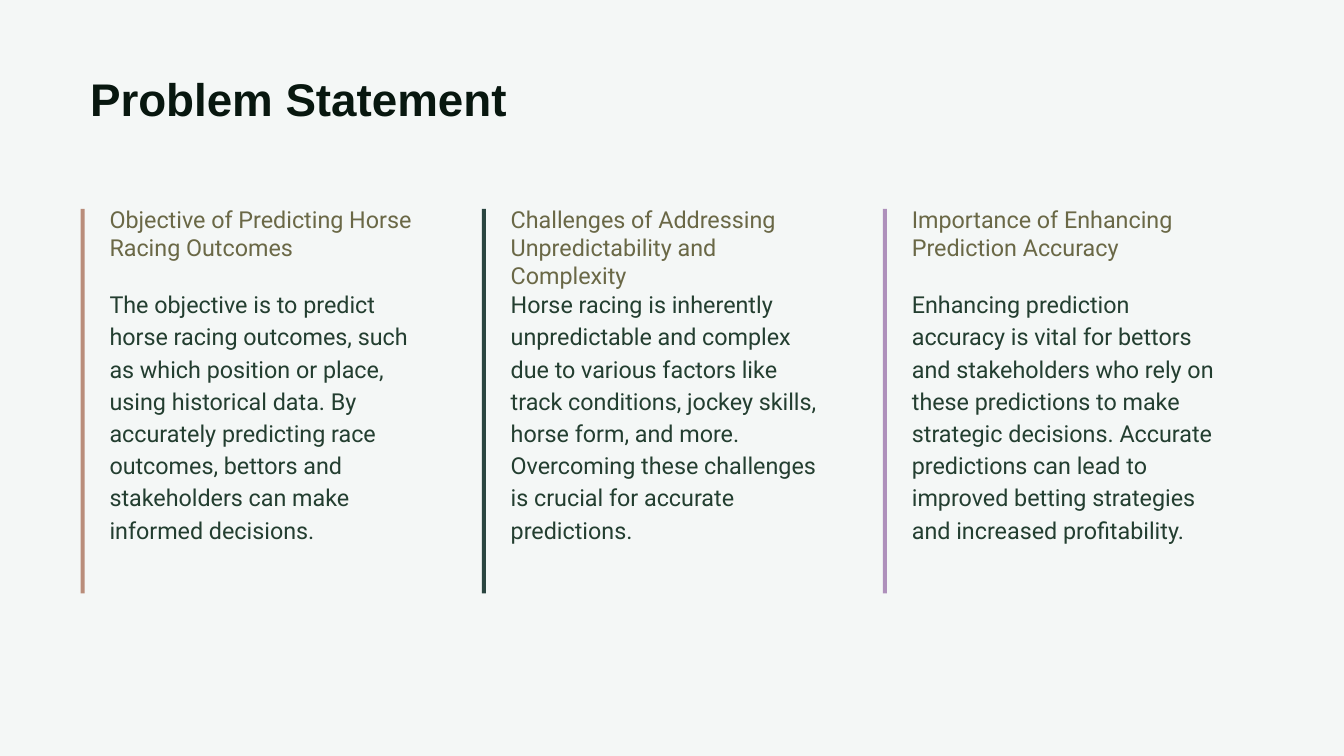
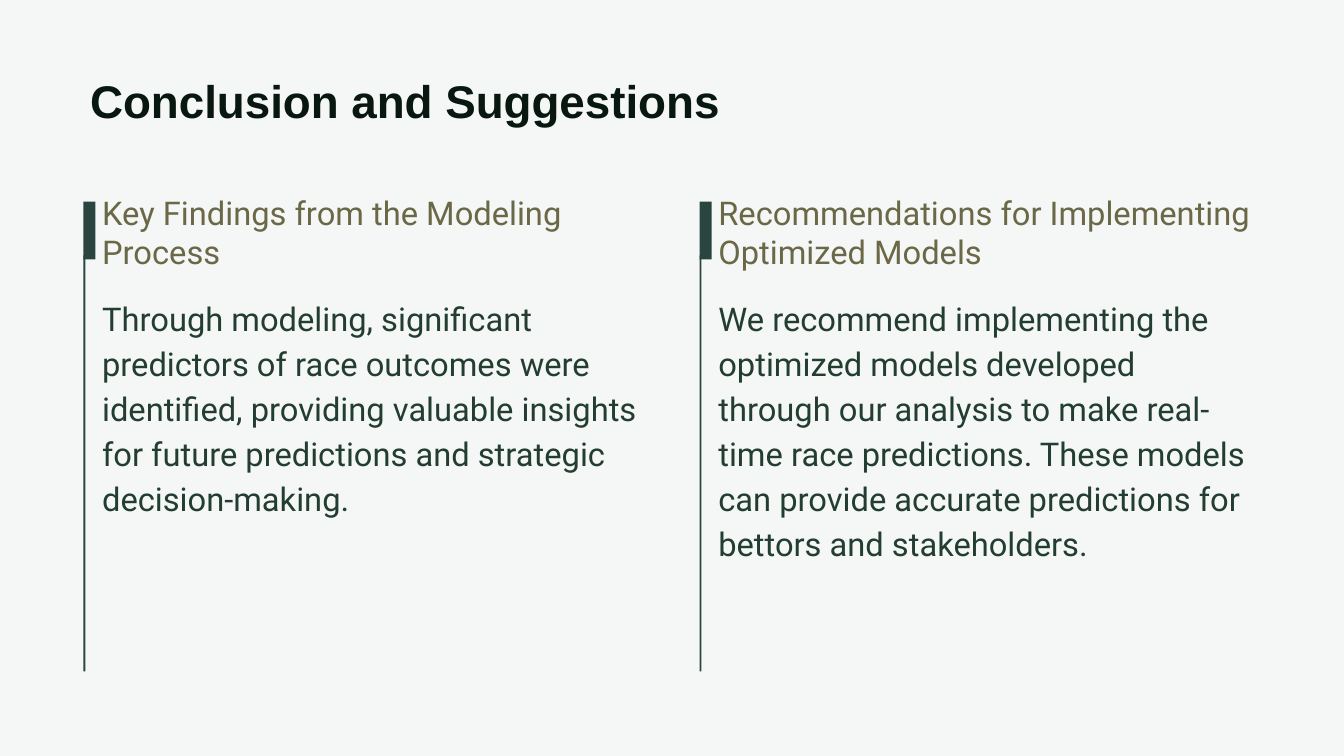
from pptx import Presentation, util as u
from pptx.dml.color import RGBColor
from pptx.enum import shapes, text

WIDE, HIGH = 20, 11.25
PAPER, INK, OLIVE, MOSS, PINE = "F4F7F6", "08170F", "6A6846", "233E30", "2A4540"
CLAY, LILAC = "B98D7A", "AE90BB"
LEFT = 1.34

GOALS = [
    (CLAY, "Objective of Predicting Horse Racing Outcomes",
     "The objective is to predict horse racing outcomes, such as which position or place, "
     "using historical data. By accurately predicting race outcomes, bettors and "
     "stakeholders can make informed decisions."),
    (PINE, "Challenges of Addressing Unpredictability and Complexity",
     "Horse racing is inherently unpredictable and complex due to various factors like "
     "track conditions, jockey skills, horse form, and more. Overcoming these challenges "
     "is crucial for accurate predictions."),
    (LILAC, "Importance of Enhancing Prediction Accuracy",
     "Enhancing prediction accuracy is vital for bettors and stakeholders who rely on these "
     "predictions to make strategic decisions. Accurate predictions can lead to improved "
     "betting strategies and increased profitability."),
]
RESULTS = [
    ("Key Findings from the Modeling Process",
     "Through modeling, significant predictors of race outcomes were identified, providing "
     "valuable insights for future predictions and strategic decision-making."),
    ("Recommendations for Implementing Optimized Models",
     "We recommend implementing the optimized models developed through our analysis to make "
     "real-time race predictions. These models can provide accurate predictions for bettors "
     "and stakeholders."),
]


def paint(fill, color):
    fill.solid()
    fill.fore_color.rgb = RGBColor.from_string(color)


def inches(*sizes):
    return [u.Inches(size) for size in sizes]


def write(slide, words, x, y, w, h, size, color, font="Roboto", bold=False, lead=1.2):
    """Add a text box; lead is the line pitch as a multiple of the font size."""
    frame = slide.shapes.add_textbox(*inches(x, y, w, h)).text_frame
    frame.word_wrap = True
    frame.auto_size = text.MSO_AUTO_SIZE.NONE
    frame.margin_left = frame.margin_right = frame.margin_top = frame.margin_bottom = 0
    para = frame.paragraphs[0]
    para.line_spacing = u.Pt(size * lead)
    run = para.add_run()
    run.text = words
    run.font.name, run.font.size, run.font.bold = font, u.Pt(size), bold
    run.font.color.rgb = RGBColor.from_string(color)


def bar(slide, x, y, w, h, color):
    shape = slide.shapes.add_shape(shapes.MSO_SHAPE.RECTANGLE, *inches(x, y, w, h))
    shape.shadow.inherit = False
    paint(shape.fill, color)
    shape.line.fill.background()


def start(deck, title, top):
    slide = deck.slides.add_slide(deck.slide_layouts[6])
    paint(slide.background.fill, PAPER)
    write(slide, title, LEFT, top, WIDE - 2 * LEFT, 0.83, 49, INK, "Arial", True)
    return slide


def column(slide, head, body, x, w, tops, highs, size):
    """Add a heading over its body text; tops and highs hold one value for each."""
    write(slide, head, x, tops[0], w, highs[0], size, OLIVE)
    write(slide, body, x, tops[1], w, highs[1], size, MOSS, lead=1.38)


def problem(deck):
    slide = start(deck, "Problem Statement", 1.05)
    for col, (color, head, body) in enumerate(GOALS):
        x = 1.2 + col * 5.97
        bar(slide, x, 3.11, 0.06, 5.72, color)
        column(slide, head, body, x + 0.43, 4.63, (3.06, 4.26), (1.22, 3.74), 25)


def conclusion(deck):
    slide = start(deck, "Conclusion and Suggestions", 1.09)
    for col, (head, body) in enumerate(RESULTS):
        x = 1.24 + col * 9.17
        bar(slide, x, 3, 0.18, 0.86, PINE)
        bar(slide, x, 3.8, 0.03, 6.19, PINE)
        column(slide, head, body, x + 0.28, 8, (2.87, 4.36), (1.18, 4), 35)


def main():
    deck = Presentation()
    deck.slide_width, deck.slide_height = inches(WIDE, HIGH)
    problem(deck)
    conclusion(deck)
    deck.save("out.pptx")


if __name__ == "__main__":
    main()
